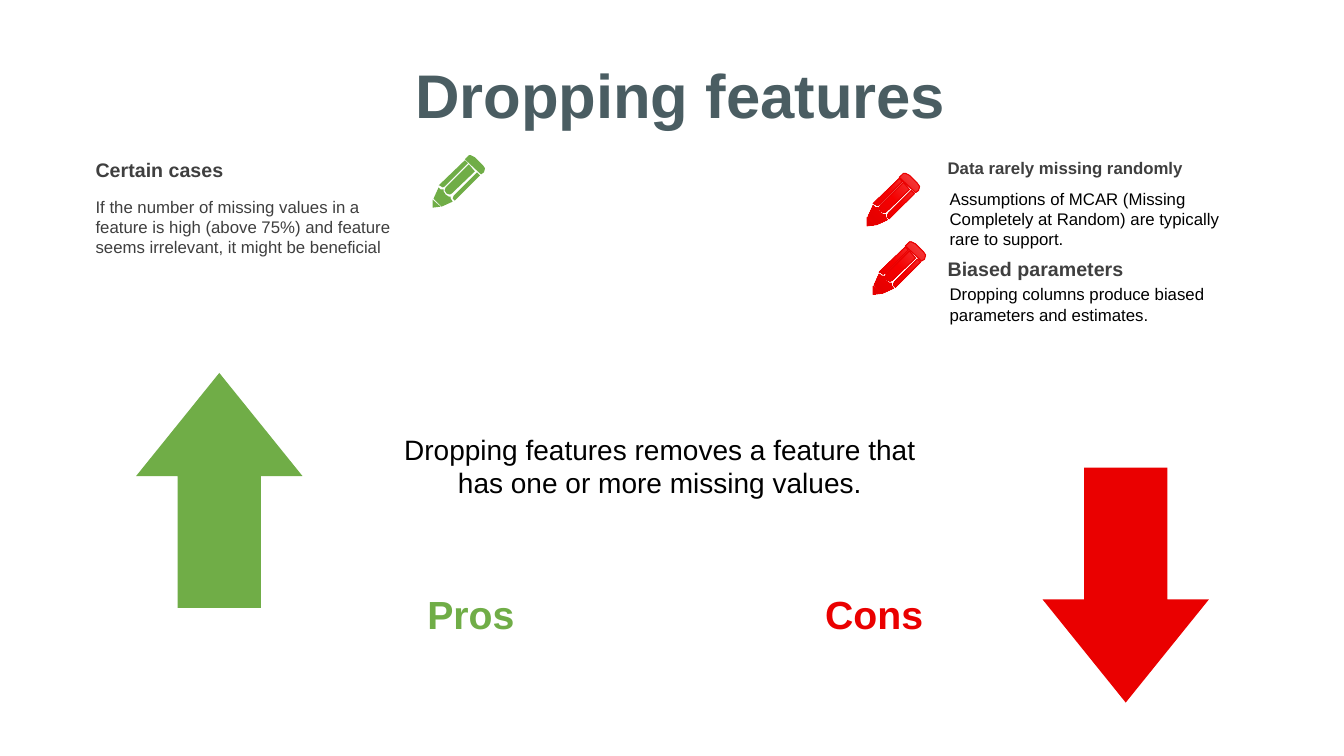
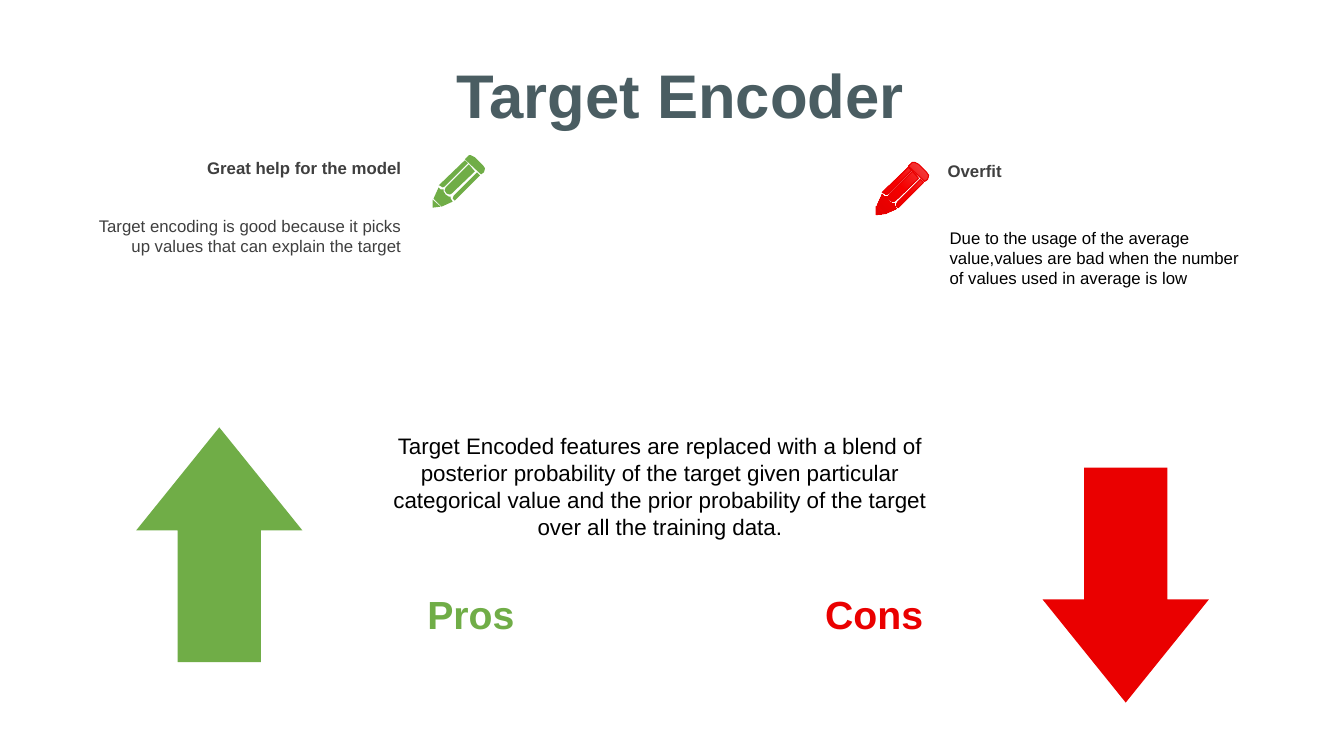
from copy import deepcopy

from pptx import Presentation
from pptx.dml.color import RGBColor
from pptx.enum.shapes import MSO_SHAPE
from pptx.enum.text import MSO_ANCHOR, MSO_AUTO_SIZE, PP_ALIGN
from pptx.oxml.ns import qn
from pptx.util import Inches, Pt

COLORS = {
    "title": "4A5D62",
    "heading": "3F3F3F",
    "text": "000000",
    "pros": "70AD47",
    "cons": "EA0000",
}
RED_GRADIENT = [(0, "F24747"), (0.5, "F50000"), (1, "E20000")]
TITLE_ONLY = 5

# Pencil parts in hundredths of an inch, from the icon's top left corner
PENCIL = [
    [(1, 45), (9, 52), (1, 53)],
    [(7, 33), (9, 35), (12, 35), (12, 37), (14, 40), (17, 42), (19, 42),
     (19, 44), (21, 47), (10, 52), (2, 44)],
    [(45, 18), (48, 21), (23, 46), (21, 44), (22, 41)],
    [(37, 10), (43, 17), (20, 39), (18, 40), (15, 39), (13, 36), (14, 33)],
    [(33, 6), (36, 9), (13, 32), (11, 33), (8, 31), (7, 31)],
    [(36, 2), (37, 1), (39, 1), (41, 2), (43, 3), (51, 11), (53, 14),
     (52, 18), (49, 20), (33, 5)],
]

SLIDES = [
    {
        "title": "Dropping features",
        "summary": "Dropping features removes a feature that has one or more missing values.",
        "summary_size": 20,
        "summary_height": 0.77,
        "arrow_top": 3.7,
        "pros_align": PP_ALIGN.LEFT,
        "pros": ("Certain cases", 14, 1.52,
                 "If the number of missing values in a feature is high (above 75%) "
                 "and feature seems irrelevant, it might be beneficial", 1.9),
        "cons": [
            ("Data rarely missing randomly", 12, 1.52,
             "Assumptions of MCAR (Missing Completely at Random) are typically "
             "rare to support.", 1.82),
            ("Biased parameters", 14, 2.5,
             "Dropping columns produce biased parameters and estimates.", 2.77),
        ],
        "cons_pencils": [(8.59, 1.71), (8.65, 2.39)],
    },
    {
        "title": "Target Encoder",
        "summary": "Target Encoded features are replaced with a blend of posterior "
                   "probability of the target given particular categorical value and the "
                   "prior probability of the target over all the training data.",
        "summary_size": 16,
        "summary_height": 1.18,
        "arrow_top": 4.24,
        "pros_align": PP_ALIGN.RIGHT,
        "pros": ("Great help for the model", 12, 1.52,
                 "Target encoding is good because it picks up values that can explain "
                 "the target", 2.09),
        "cons": [
            ("Overfit", 12, 1.55,
             "Due to the usage of the average value,values are bad when the number of "
             "values used in average is low", 2.21),
        ],
        "cons_pencils": [(8.68, 1.6)],
    },
]


def add_text(page, text, left, top, width, height, size=12, color="text",
             bold=False, align=PP_ALIGN.LEFT, anchor=MSO_ANCHOR.TOP, box=None):
    """Write text in a new text box, or in the given placeholder moved into place."""
    place = [Inches(length) for length in (left, top, width, height)]
    if box is None:
        box = page.shapes.add_textbox(*place)
    else:
        box.left, box.top, box.width, box.height = place
    frame = box.text_frame
    frame.word_wrap = True
    frame.auto_size = MSO_AUTO_SIZE.NONE
    frame.vertical_anchor = anchor
    para = frame.paragraphs[0]
    para.alignment = align
    span = para.add_run()
    span.text = text
    span.font.name = "Arial"
    span.font.size = Pt(size)
    span.font.bold = bold
    span.font.color.rgb = RGBColor.from_string(COLORS[color])


def add_pencil(page, left, top):
    first, *others = PENCIL
    builder = page.shapes.build_freeform(*first[0], scale=Inches(0.01))
    builder.add_line_segments(first[1:], close=True)
    for part in others:
        builder.move_to(*part[0])
        builder.add_line_segments(part[1:], close=True)
    pencil = builder.convert_to_shape(Inches(left), Inches(top))
    pencil.shadow.inherit = False
    return pencil


deck = Presentation()
deck.slide_width, deck.slide_height = Inches(13.33), Inches(7.5)

for content in SLIDES:
    page = deck.slides.add_slide(deck.slide_layouts[TITLE_ONLY])
    add_text(page, content["title"], 2.85, 0.51, 7.8, 0.84, size=44, color="title",
             bold=True, align=PP_ALIGN.CENTER, anchor=MSO_ANCHOR.MIDDLE,
             box=page.shapes.title)

    for label, color, left in [("Pros", "pros", 4.03), ("Cons", "cons", 8.03)]:
        add_text(page, label, left, 5.81, 1.28, 0.57, size=28, color=color,
                 bold=True, align=PP_ALIGN.CENTER)

    for kind, color, left, top in [
        (MSO_SHAPE.UP_ARROW, "pros", 1.35, content["arrow_top"]),
        (MSO_SHAPE.DOWN_ARROW, "cons", 10.34, 4.64),
    ]:
        arrow = page.shapes.add_shape(kind, Inches(left), Inches(top),
                                      Inches(1.65), Inches(2.33))
        arrow.adjustments[0], arrow.adjustments[1] = 0.5, 0.62
        arrow.shadow.inherit = False
        arrow.fill.solid()
        arrow.fill.fore_color.rgb = RGBColor.from_string(COLORS[color])
        arrow.line.fill.background()

    heading, size, heading_top, detail, detail_top = content["pros"]
    align = content["pros_align"]
    add_text(page, heading, 0.85, heading_top, 3.23, 0.3, size=size,
             color="heading", bold=True, align=align)
    add_text(page, detail, 0.85, detail_top, 3.23, 0.71, color="heading", align=align)

    for heading, size, heading_top, detail, detail_top in content["cons"]:
        add_text(page, heading, 9.3, heading_top, 3.21, 0.3, size=size,
                 color="heading", bold=True)
        add_text(page, detail, 9.32, detail_top, 3.21, 0.71)

    pencil = add_pencil(page, 4.28, 1.53)
    pencil.fill.solid()
    pencil.fill.fore_color.rgb = RGBColor.from_string(COLORS["pros"])
    pencil.line.fill.background()

    for left, top in content["cons_pencils"]:
        pencil = add_pencil(page, left, top)
        pencil.line.color.rgb = RGBColor.from_string(COLORS["cons"])
        pencil.line.width = Pt(0.75)
        pencil.fill.gradient()
        pencil.fill.gradient_angle = 225
        stop_list = pencil.fill._xPr.find(f".//{qn('a:gsLst')}")
        stop_list.insert(1, deepcopy(stop_list[0]))
        for stop, (position, color) in zip(pencil.fill.gradient_stops, RED_GRADIENT):
            stop.position = position
            stop.color.rgb = RGBColor.from_string(color)

    add_text(page, content["summary"], 3.8, 4.24, 5.49, content["summary_height"],
             size=content["summary_size"], align=PP_ALIGN.CENTER)

deck.save("out.pptx")
